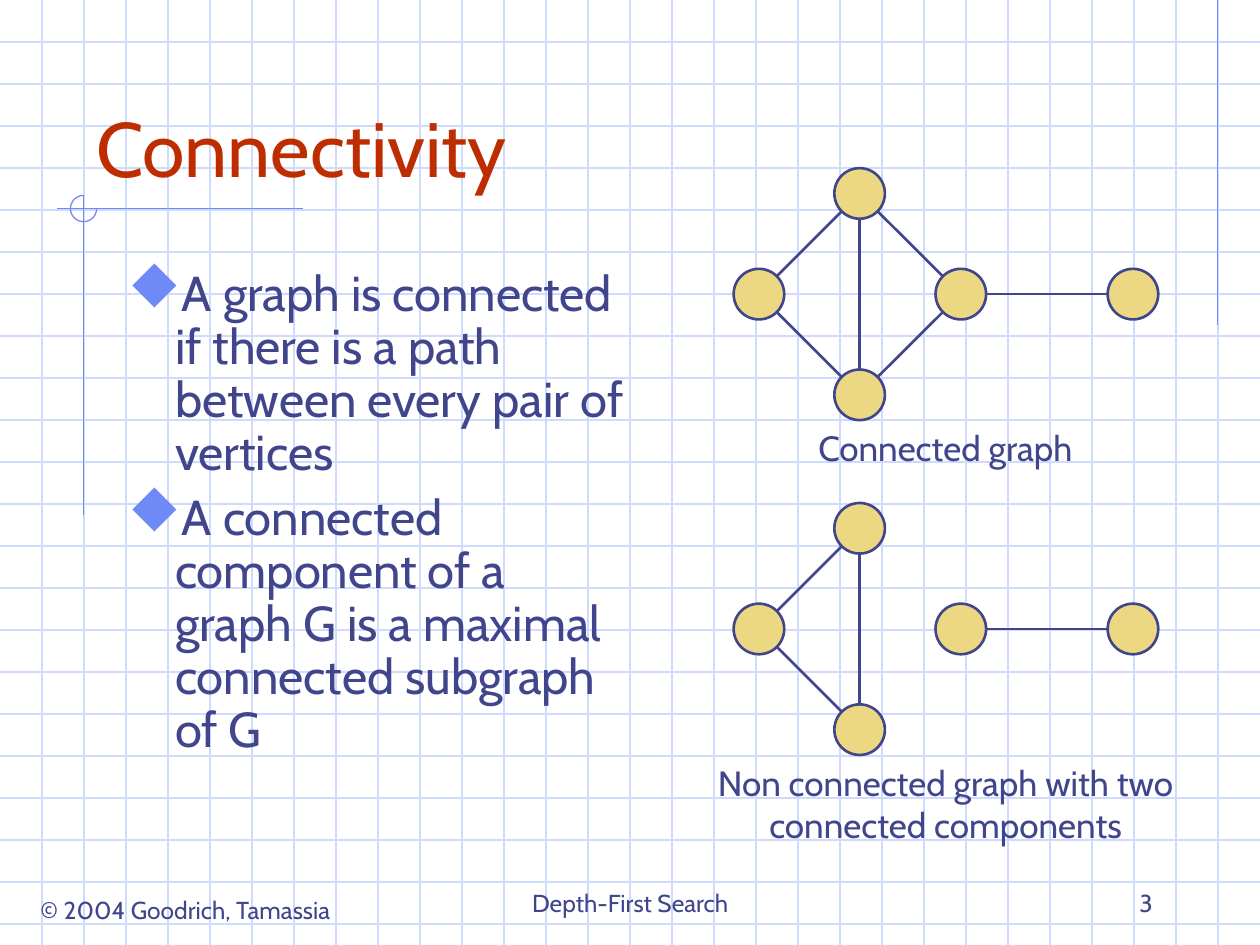
"""Build the Connectivity slide with two example graphs on a grid background."""
from math import hypot

from lxml.etree import SubElement
from pptx import Presentation
from pptx.dml.color import RGBColor
from pptx.enum.shapes import MSO_CONNECTOR, MSO_SHAPE
from pptx.enum.text import MSO_ANCHOR, PP_ALIGN
from pptx.oxml.ns import qn
from pptx.util import Cm, Pt

NAVY = RGBColor(0x40, 0x45, 0x8C)
RED = RGBColor(0xBE, 0x2D, 0x00)
BLUE = RGBColor(0x6F, 0x89, 0xF7)
PALE = RGBColor(0xCF, 0xDB, 0xFD)
GOLD = RGBColor(0xEC, 0xD8, 0x82)
WIDTH, HEIGHT = 25.4, 19.05
GRID = 2.54 / 3
DIAMETER = 1.02


def add_line(x1, y1, x2, y2, color, width=0.75):
    c = s.shapes.add_connector(MSO_CONNECTOR.STRAIGHT, Cm(x1), Cm(y1), Cm(x2), Cm(y2))
    c.line.color.rgb = color
    c.line.width = Pt(width)
    SubElement(c._element.spPr, qn("a:effectLst"))


def add_text(text, x, y, w, h, size=14, color=NAVY, align=PP_ALIGN.LEFT,
             anchor=MSO_ANCHOR.TOP, wrap=True, bullet=None):
    tf = s.shapes.add_textbox(Cm(x), Cm(y), Cm(w), Cm(h)).text_frame
    tf.word_wrap = wrap
    tf.vertical_anchor = anchor
    tf.text = text
    for p in tf.paragraphs:
        p.alignment = align
        for r in p.runs:
            r.font.name = "Cabin"
            r.font.size = Pt(size)
            r.font.color.rgb = color
        if bullet:
            p.line_spacing = 0.9
            p.space_before = Pt(7)
            pPr = p._p.get_or_add_pPr()
            pPr.set("marL", str(Cm(0.95)))
            pPr.set("indent", str(-Cm(0.95)))
            buClr = SubElement(pPr, qn("a:buClr"))
            SubElement(buClr, qn("a:srgbClr"), val=str(BLUE))
            SubElement(pPr, qn("a:buSzPct"), val="110000")
            SubElement(pPr, qn("a:buFont"), typeface="Wingdings", pitchFamily="2", charset="2")
            SubElement(pPr, qn("a:buChar"), char=bullet)


prs = Presentation()
prs.slide_width, prs.slide_height = Cm(WIDTH), Cm(HEIGHT)
s = prs.slides.add_slide(prs.slide_layouts[6])

for i in range(1, 23):
    add_line(0, i * GRID, WIDTH, i * GRID, PALE)
for i in range(1, 30):
    add_line(i * GRID, 0, i * GRID, HEIGHT, PALE)

add_line(24.55, 0, 24.55, 6.55, BLUE)
add_line(6.1, 4.2, 1.14, 4.2, BLUE)
add_line(1.69, 3.94, 1.69, 10.39, BLUE)
arc = s.shapes.add_shape(MSO_SHAPE.ARC, Cm(1.42), Cm(3.94), Cm(0.53), Cm(0.53))
arc.adjustments[0], arc.adjustments[1] = 0, 162
arc.shadow.inherit = False
arc.fill.background()
arc.line.color.rgb = BLUE
arc.line.width = Pt(0.75)

add_text("Connectivity", 1.69, 0.83, 21.59, 3.18, size=44, color=RED,
         anchor=MSO_ANCHOR.BOTTOM)
add_text("A graph is connected if there is a path between every pair of vertices\n"
         "A connected component of a graph G is a maximal connected subgraph of G",
         2.33, 5.3, 10.58, 11.43, size=28, bullet="u")

nodes = {
    "right": (19.37, 0),
    "left": (15.3, 0),
    "top": (17.33, -2.03),
    "bottom": (17.33, 2.03),
    "far": (22.84, 0),
}
shared_edges = [("top", "left"), ("bottom", "left"), ("top", "bottom"), ("right", "far")]
joining_edges = [("bottom", "right"), ("top", "right")]
graphs = [(5.93, shared_edges + joining_edges), (12.68, shared_edges)]

for middle, edges in graphs:
    for x, dy in nodes.values():
        sp = s.shapes.add_shape(MSO_SHAPE.OVAL, Cm(x - DIAMETER / 2),
                                Cm(middle + dy - DIAMETER / 2), Cm(DIAMETER), Cm(DIAMETER))
        sp.shadow.inherit = False
        sp.fill.solid()
        sp.fill.fore_color.rgb = GOLD
        sp.line.color.rgb = NAVY
        sp.line.width = Pt(1.5)
    for start, end in edges:
        (x1, y1), (x2, y2) = nodes[start], nodes[end]
        trim = DIAMETER / 2 / hypot(x2 - x1, y2 - y1)
        dx, dy = (x2 - x1) * trim, (y2 - y1) * trim
        add_line(x1 + dx, middle + y1 + dy, x2 - dx, middle + y2 - dy, NAVY, 1.5)

add_text("Connected graph", 15.1, 8.47, 7.92, 1.12, size=20, align=PP_ALIGN.CENTER)
add_text("Non connected graph with two connected components",
         14, 15.23, 10.13, 1.96, size=20, align=PP_ALIGN.CENTER)

add_text("© 2004 Goodrich, Tamassia", 0.3, 17.92, 6.88, 0.86,
         align=PP_ALIGN.CENTER, wrap=False)
add_text("Depth-First Search", 8.68, 17.35, 8.05, 1.27,
         align=PP_ALIGN.CENTER, anchor=MSO_ANCHOR.BOTTOM)
add_text("3", 18.21, 17.35, 5.28, 1.27, align=PP_ALIGN.RIGHT, anchor=MSO_ANCHOR.BOTTOM)

prs.save("out.pptx")
